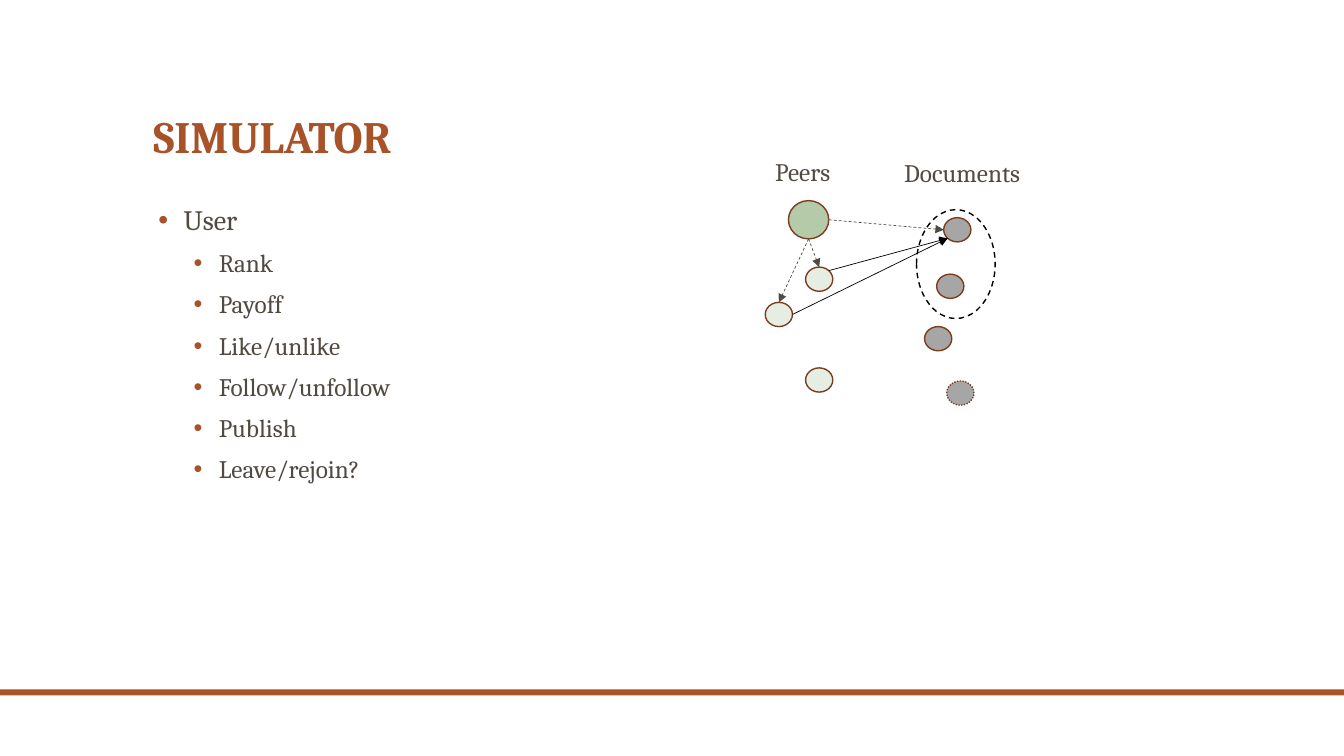
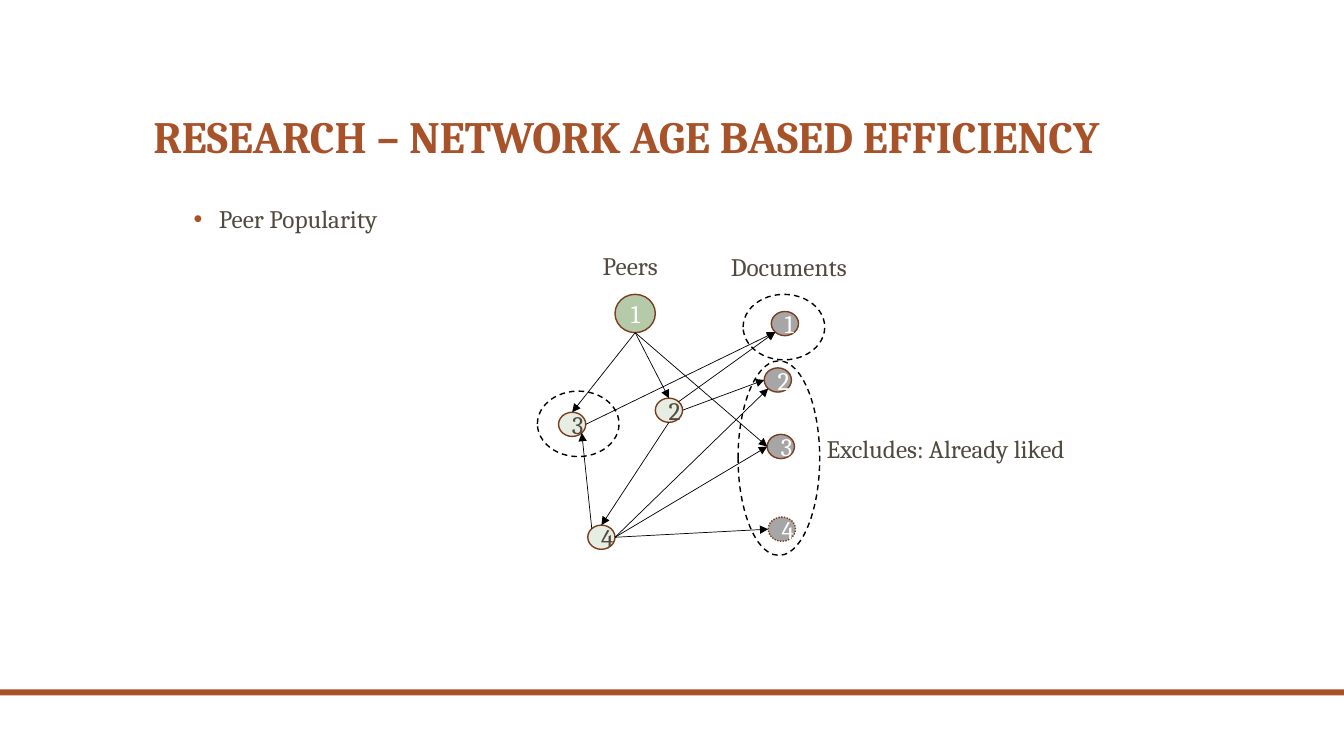
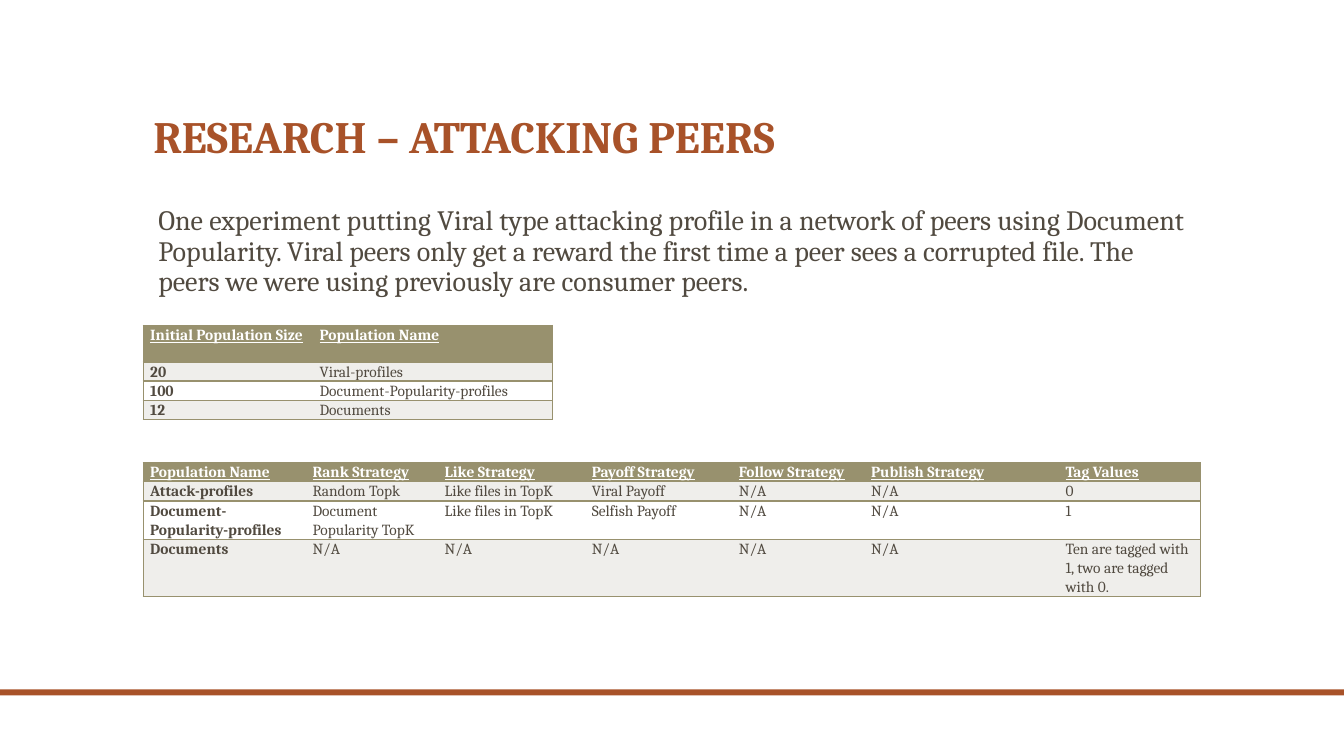
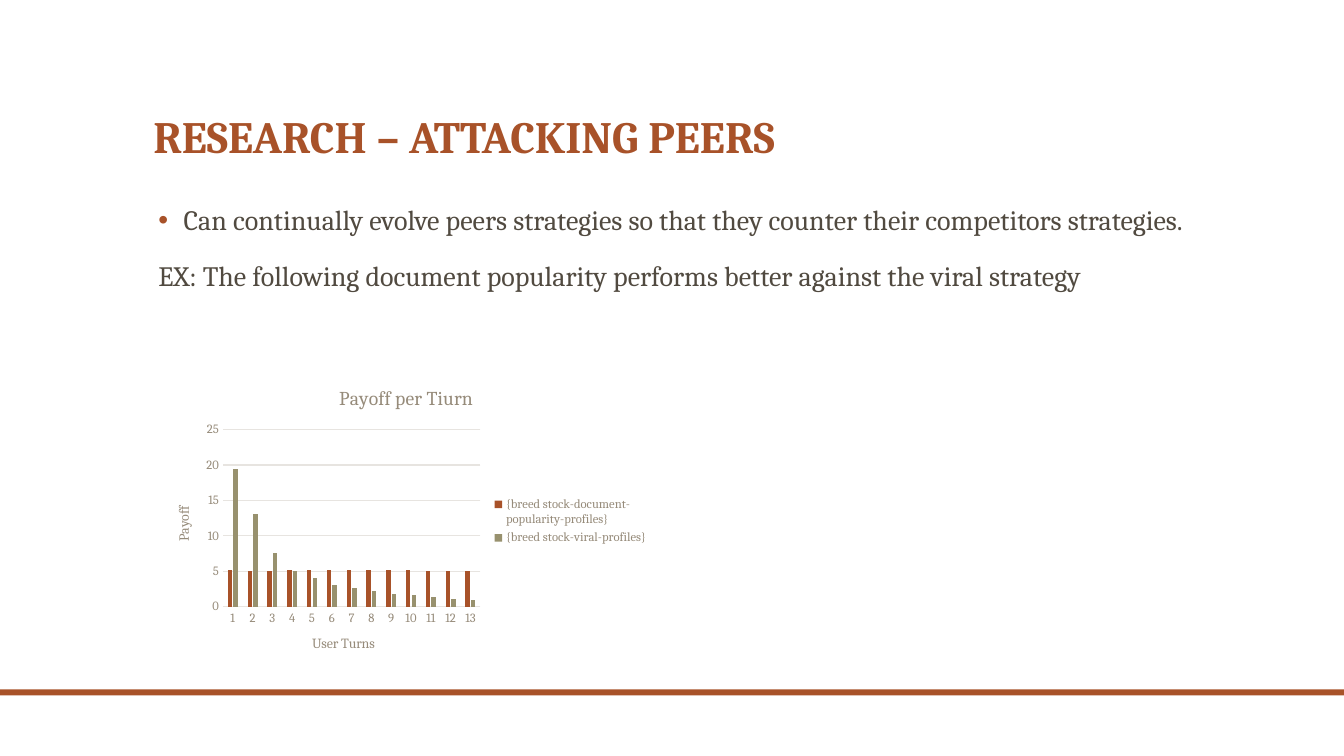
"""Four slides on a peer network simulator: two graphs, two tables and a chart."""
from math import cos, radians, sin

from lxml import etree
from pptx import Presentation
from pptx.chart.data import CategoryChartData
from pptx.dml.color import RGBColor
from pptx.enum.chart import XL_CHART_TYPE, XL_LEGEND_POSITION, XL_TICK_MARK
from pptx.enum.dml import MSO_LINE
from pptx.enum.shapes import MSO_CONNECTOR, MSO_SHAPE
from pptx.enum.text import MSO_ANCHOR, MSO_AUTO_SIZE, PP_ALIGN
from pptx.oxml.ns import qn
from pptx.util import Inches, Pt

OVAL, RECT = MSO_SHAPE.OVAL, MSO_SHAPE.RECTANGLE
LINE = MSO_CONNECTOR.STRAIGHT
DASH, DOT = MSO_LINE.DASH, MSO_LINE.ROUND_DOT
LEFT, CENTER = PP_ALIGN.LEFT, PP_ALIGN.CENTER
TOP, BOTTOM = MSO_ANCHOR.TOP, MSO_ANCHOR.BOTTOM
FIXED = MSO_AUTO_SIZE.NONE
BARS, RIGHT = XL_CHART_TYPE.COLUMN_CLUSTERED, XL_LEGEND_POSITION.RIGHT
NO_TICK = XL_TICK_MARK.NONE

RUST = RGBColor(0xA8, 0x52, 0x29)
BROWN = RGBColor(0x7C, 0x3D, 0x1E)
INK = RGBColor(0x51, 0x4A, 0x40)
BLACK = RGBColor(0, 0, 0)
WHITE = RGBColor(0xFF, 0xFF, 0xFF)
GREEN = RGBColor(0xB4, 0xCA, 0xA9)
PALE = RGBColor(0xE6, 0xED, 0xE2)
GRAY = RGBColor(0xA6, 0xA6, 0xA6)
OLIVE = RGBColor(0x98, 0x91, 0x6E)
BAND = RGBColor(0xEF, 0xEE, 0xEB)
TAUPE = RGBColor(0x96, 0x8B, 0x7A)
GRID = RGBColor(0xE7, 0xE4, 0xE0)

FONT = "Cambria"
WIDE, HIGH = 13.33, 7.5
EDGE, SPAN = 1.42, 10.5
ROW = 0.19

STYLES = {
    "item": (0.3, -0.25, 18, 20),
    "sub": (0.65, -0.25, 10, 18),
    "plain": (0.05, 0, 18, 20),
}
KINDS = {
    "user": (0.4, 0.38, GREEN, WHITE, None),
    "peer": (0.27, 0.24, PALE, INK, None),
    "doc": (0.27, 0.24, GRAY, WHITE, None),
    "new": (0.27, 0.24, GRAY, WHITE, DOT),
}

RANKS = {
    "title": "SIMULATOR",
    "body": [("item", "User")] + [("sub", text) for text in (
        "Rank", "Payoff", "Like/unlike", "Follow/unfollow", "Publish",
        "Leave/rejoin?")],
    "nodes": {
        "p1": ("user", 7.82, 1.99), "p2": ("peer", 7.99, 2.65),
        "p3": ("peer", 7.59, 3), "p4": ("peer", 7.99, 3.65),
        "d1": ("doc", 9.36, 2.16), "d2": ("doc", 9.29, 2.72),
        "d3": ("doc", 9.17, 3.24), "d4": ("new", 9.39, 3.78),
    },
    "links": [("p2", 7, "d1", 3), ("p3", 6, "d1", 3)],
    "hints": [("p1", 6, "d1", 2), ("p1", 4, "p3", 0), ("p1", 4, "p2", 0)],
    "rings": [(9.09, 2.08, 0.78, 1.08)],
    "notes": [("Peers", 7.59, 1.5, 1.17), ("Documents", 8.87, 1.51, 1.54)],
    "named": False,
}
FAME = {
    "title": "RESEARCH – NETWORK AGE BASED EFFICIENCY",
    "body": [("sub", "Peer Popularity")],
    "nodes": {
        "p1": ("user", 6.1, 2.92), "p2": ("peer", 6.5, 3.95),
        "p3": ("peer", 5.54, 4.09), "p4": ("peer", 5.83, 5.21),
        "d1": ("doc", 7.65, 3.09), "d2": ("doc", 7.58, 3.65),
        "d3": ("doc", 7.61, 4.31), "d4": ("new", 7.62, 5.13),
    },
    "links": [
        ("p2", 7, "d1", 3), ("p3", 6, "d1", 3), ("p2", 6, "d2", 2),
        ("p1", 4, "p2", 0), ("p1", 4, "p3", 0), ("p2", 4, "p4", 0),
        ("p4", 1, "p3", 5), ("p4", 6, "d3", 2), ("p4", 6, "d4", 2),
        ("p4", 6, "d2", 3), ("p1", 4, "d3", 2)],
    "hints": [],
    "rings": [(7.37, 2.92, 0.81, 0.65), (5.33, 3.88, 0.81, 0.65),
              (7.32, 3.58, 0.81, 1.93)],
    "notes": [("Peers", 5.88, 2.43, 1.17), ("Documents", 7.15, 2.44, 1.54),
              ("Excludes: Already liked", 8.1, 4.25, 2.7)],
    "named": True,
}

ATTACK = "RESEARCH – ATTACKING PEERS"
TRIAL = [("plain", "One experiment putting Viral type attacking profile in a "
          "network of peers using Document Popularity. Viral peers only get a "
          "reward the first time a peer sees a corrupted file. The peers we "
          "were using previously are consumer peers.")]
SIZES = [
    ("Initial Population Size", "Population Name"),
    ("20", "Viral-profiles"),
    ("100", "Document-Popularity-profiles"),
    ("12", "Documents"),
]
PLANS = [
    ("Population Name", "Rank Strategy", "Like Strategy", "Payoff Strategy",
     "Follow Strategy", "Publish Strategy", "Tag Values"),
    ("Attack-profiles", "Random Topk", "Like files in TopK", "Viral Payoff",
     "N/A", "N/A", "0"),
    ("Document-Popularity-profiles", "Document Popularity TopK",
     "Like files in TopK", "Selfish Payoff", "N/A", "N/A", "1"),
    ("Documents",) + ("N/A",) * 5
    + ("Ten are tagged with 1, two are tagged with 0.",),
]
TABLES = [
    (PLANS, 4.59, (1.61, 1.31, 1.46, 1.46, 1.31, 1.93, 1.41), (1, 1, 2, 3)),
    (SIZES, 3.23, (1.68, 2.38), (1.9, 1, 1, 1)),
]

EVOLVE = [
    ("item", "Can continually evolve peers strategies so that they counter "
     "their competitors strategies."),
    ("plain", "EX: The following document popularity performs better against "
     "the viral strategy"),
]
SERIES = [
    ("{breed stock-document-popularity-profiles}", RUST,
     (5.2, 5, 5.1, 5.2, 5.2, 5.2, 5.2, 5.2, 5.2, 5.2, 5.1, 5, 5)),
    ("{breed stock-viral-profiles}", OLIVE,
     (19.5, 13.1, 7.6, 5.1, 4, 3.1, 2.6, 2.2, 1.8, 1.7, 1.3, 1.1, 0.9)),
]


def inches(*sizes):
    return [Inches(size) for size in sizes]


def ink(font, size, color, bold=False):
    font.name, font.size, font.bold = FONT, Pt(size), bold
    font.color.rgb = color


def place(shape, *box):
    shape.left, shape.top, shape.width, shape.height = inches(*box)


def bullet(par, style):
    margin, hang, gap, size = STYLES[style]
    props = par._p.get_or_add_pPr()
    props.set("marL", str(Inches(margin)))
    props.set("indent", str(Inches(hang)))
    par.alignment, par.line_spacing = LEFT, 0.9
    par.space_before, par.space_after = Pt(gap), Pt(0)
    if hang:
        color = etree.SubElement(props, qn("a:buClr"))
        etree.SubElement(color, qn("a:srgbClr"), val=str(RUST))
        etree.SubElement(props, qn("a:buFont"), typeface="Arial")
        etree.SubElement(props, qn("a:buChar"), char="•")
    else:
        etree.SubElement(props, qn("a:buNone"))
    ink(par.font, size, INK)


def start(prs, title, body):
    slide = prs.slides.add_slide(prs.slide_layouts[1])
    head, main = slide.placeholders
    place(head, EDGE, 0.42, SPAN, 1.25)
    place(main, EDGE, 2, SPAN, 4.5)
    for shape, anchor in ((head, BOTTOM), (main, TOP)):
        shape.text_frame.auto_size = FIXED
        shape.text_frame.vertical_anchor = anchor
    head.text_frame.text = title
    par = head.text_frame.paragraphs[0]
    par.alignment, par.line_spacing = LEFT, 0.9
    ink(par.font, 32, RUST, True)
    main.text_frame.text = "\n".join(text for _, text in body)
    for par, (style, _) in zip(main.text_frame.paragraphs, body):
        bullet(par, style)
    return slide


def add_band(prs, slide):
    band = slide.shapes.add_shape(RECT, *inches(0, 6.84, WIDE, 0.06))
    band.shadow.inherit = False
    band.fill.solid()
    band.fill.fore_color.rgb = RUST
    band.line.fill.background()
    band.element.nvSpPr.cNvPr.set("id", "20")
    prs.slide_master.shapes.element.append(band.element)


def oval(slide, box, fill, edge, dash):
    shape = slide.shapes.add_shape(OVAL, *inches(*box))
    shape.shadow.inherit = False
    if fill is None:
        shape.fill.background()
    else:
        shape.fill.solid()
        shape.fill.fore_color.rgb = fill
    shape.line.color.rgb, shape.line.width = edge, Pt(1)
    if dash:
        shape.line.dash_style = dash
    return shape


def site(node, step):
    """Give the point on an oval, counted in eighths leftward from the top."""
    kind, left, top = node
    wide, high = KINDS[kind][:2]
    turn = radians(45 * step)
    return (left + wide * (1 - sin(turn)) / 2,
            top + high * (1 - cos(turn)) / 2)


def arrow(slide, tail, tip, color, dash):
    link = slide.shapes.add_connector(LINE, *inches(*tail, *tip))
    link.line.color.rgb, link.line.width = color, Pt(0.5)
    if dash:
        link.line.dash_style = dash
    props = link.element.spPr
    etree.SubElement(props.find(qn("a:ln")), qn("a:tailEnd"), type="triangle")
    etree.SubElement(props, qn("a:effectLst"))


def add_graph(slide, graph):
    nodes = graph["nodes"]
    for name, (kind, left, top) in nodes.items():
        wide, high, fill, color, dash = KINDS[kind]
        shape = oval(slide, (left, top, wide, high), fill, BROWN, dash)
        if graph["named"]:
            shape.text_frame.text = name[1:]
            par = shape.text_frame.paragraphs[0]
            par.alignment = CENTER
            ink(par.font, 18, color)
    for box in graph["rings"]:
        oval(slide, box, None, BLACK, DASH)
    for key, color, dash in (("hints", INK, DASH), ("links", BLACK, None)):
        for first, out, last, into in graph[key]:
            arrow(slide, site(nodes[first], out), site(nodes[last], into),
                  color, dash)
    for text, left, top, wide in graph["notes"]:
        frame = slide.shapes.add_textbox(
            *inches(left, top, wide, 0.4)).text_frame
        frame.word_wrap = True
        frame.text = text
        ink(frame.paragraphs[0].font, 18, INK)


def border(cell, sides):
    props = cell._tc.get_or_add_tcPr()
    for side in "LRTB":
        line = etree.SubElement(props, qn("a:ln" + side), w=str(Pt(1)))
        if side in sides:
            fill = etree.SubElement(line, qn("a:solidFill"))
            etree.SubElement(fill, qn("a:srgbClr"), val=str(OLIVE))
        else:
            etree.SubElement(line, qn("a:noFill"))


def add_grid(slide, rows, top, cols, lines):
    grid = slide.shapes.add_table(
        len(rows), len(cols),
        *inches(EDGE, top, sum(cols), ROW * sum(lines))).table
    grid.first_row = grid.horz_banding = False
    for col, wide in zip(grid.columns, cols):
        col.width = Inches(wide)
    for row, count in zip(grid.rows, lines):
        row.height = Inches(ROW * count)
    for y, row in enumerate(rows):
        for x, text in enumerate(row):
            cell = grid.cell(y, x)
            cell.margin_left = cell.margin_right = Inches(0.07)
            cell.margin_top = cell.margin_bottom = 0
            border(cell, "TB" + "L" * (x == 0) + "R" * (x == len(cols) - 1))
            cell.fill.solid()
            cell.fill.fore_color.rgb = (
                OLIVE if y == 0 else BAND if y % 2 else WHITE)
            cell.text = text
            par = cell.text_frame.paragraphs[0]
            par.line_spacing = 1.07
            ink(par.font, 11, INK if y else WHITE, y == 0 or x == 0)
            par.font.underline = y == 0


def caption(title, text, size):
    title.text_frame.text = text
    ink(title.text_frame.paragraphs[0].font, size, TAUPE)


def add_bars(slide):
    data = CategoryChartData()
    data.categories = [str(turn + 1) for turn in range(len(SERIES[0][2]))]
    for name, _, vals in SERIES:
        data.add_series(name, vals)
    chart = slide.shapes.add_chart(BARS, *inches(1.53, 3.67, 5, 3), data).chart
    ink(chart.font, 10, INK)
    caption(chart.chart_title, "Payoff per Tiurn", 14)
    chart.has_legend = True
    chart.legend.position = RIGHT
    chart.legend.include_in_layout = False
    ink(chart.legend.font, 9, TAUPE)
    plot = chart.plots[0]
    plot.gap_width, plot.overlap, plot.vary_by_categories = 219, -27, False
    for bars, (_, color, _) in zip(plot.series, SERIES):
        bars.format.fill.solid()
        bars.format.fill.fore_color.rgb = color
    turns, pay = chart.category_axis, chart.value_axis
    for axis, text in ((turns, "User Turns"), (pay, "Payoff")):
        caption(axis.axis_title, text, 10)
        axis.major_tick_mark = axis.minor_tick_mark = NO_TICK
        ink(axis.tick_labels.font, 9, TAUPE)
    pay.minimum_scale, pay.maximum_scale, pay.major_unit = 0, 25, 5
    pay.format.line.fill.background()
    for line in (turns.format.line, pay.major_gridlines.format.line):
        line.color.rgb, line.width = GRID, Pt(0.75)


def main():
    prs = Presentation()
    prs.slide_width, prs.slide_height = inches(WIDE, HIGH)
    for graph in (RANKS, FAME):
        add_graph(start(prs, graph["title"], graph["body"]), graph)
    add_band(prs, prs.slides[0])
    slide = start(prs, ATTACK, TRIAL)
    for table in TABLES:
        add_grid(slide, *table)
    add_bars(start(prs, ATTACK, EVOLVE))
    prs.save("out.pptx")


if __name__ == "__main__":
    main()
